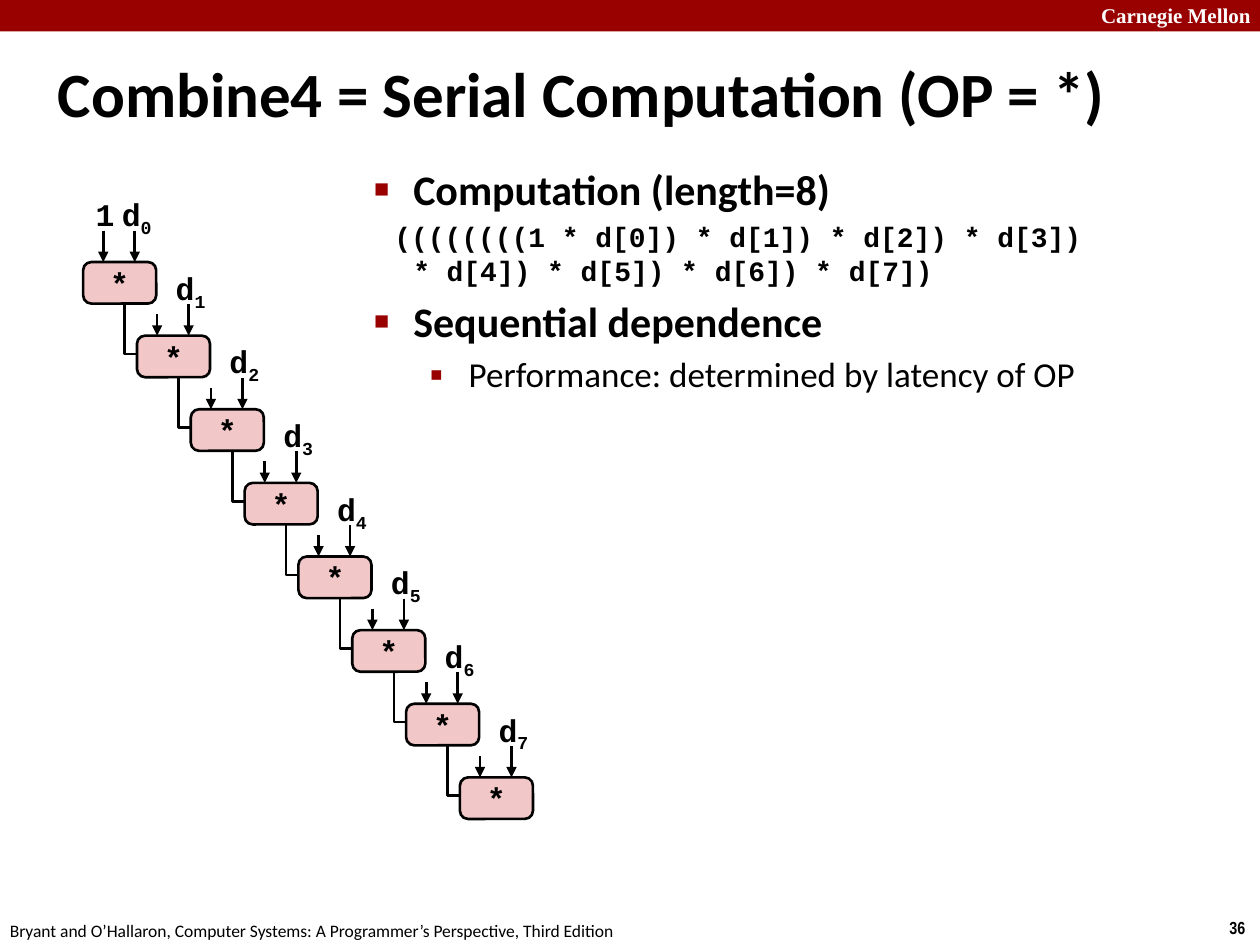
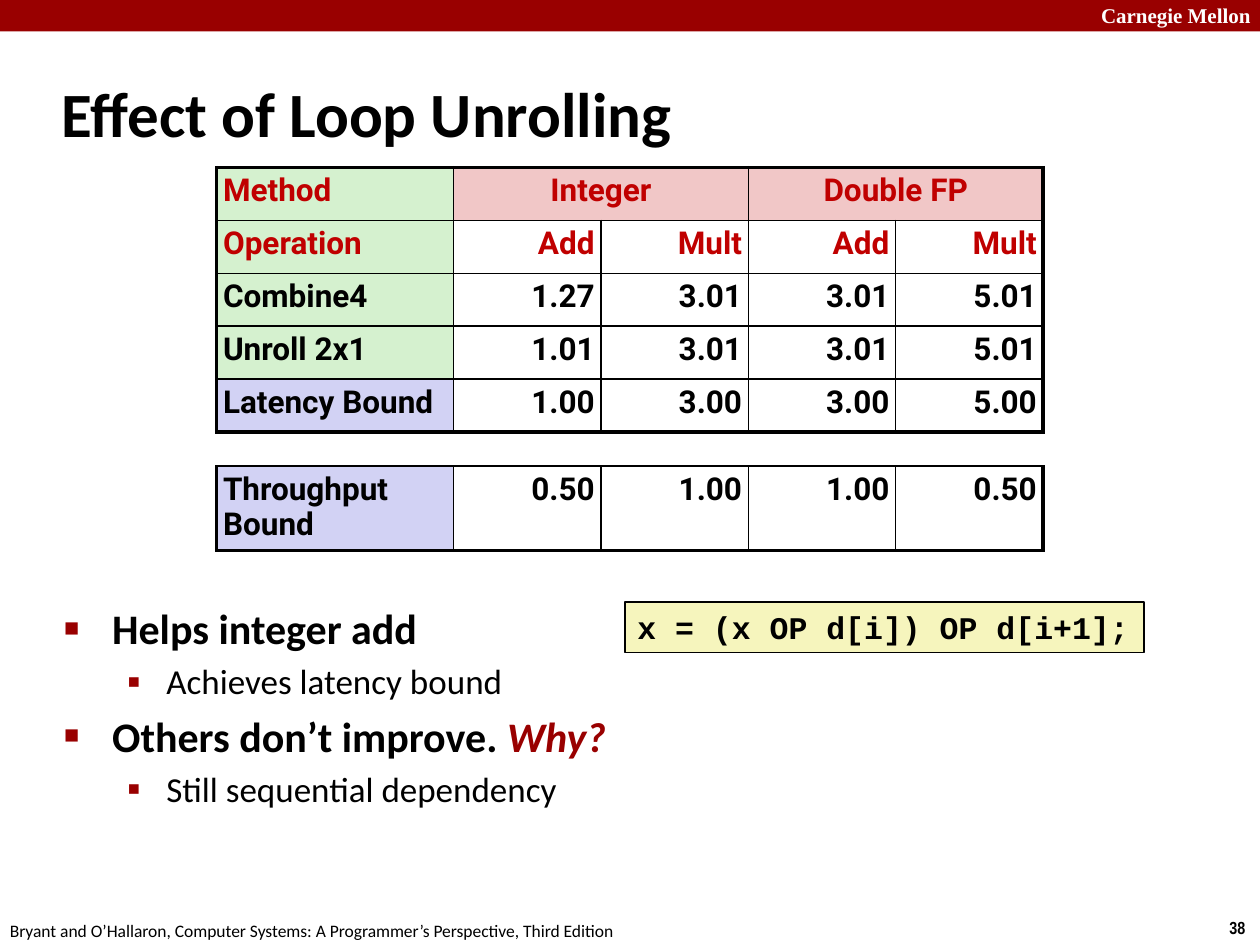
from dataclasses import dataclass

from lxml import etree
from pptx import Presentation
from pptx.dml.color import RGBColor
from pptx.enum.shapes import MSO_CONNECTOR, MSO_SHAPE
from pptx.enum.text import MSO_ANCHOR, MSO_AUTO_SIZE, PP_ALIGN
from pptx.oxml.ns import qn
from pptx.util import Inches, Pt

STRAIGHT = MSO_CONNECTOR.STRAIGHT
RECTANGLE, ROUNDED = MSO_SHAPE.RECTANGLE, MSO_SHAPE.ROUNDED_RECTANGLE
TOP, MIDDLE = MSO_ANCHOR.TOP, MSO_ANCHOR.MIDDLE
NO_AUTOFIT = MSO_AUTO_SIZE.NONE
LEFT, CENTER, RIGHT = PP_ALIGN.LEFT, PP_ALIGN.CENTER, PP_ALIGN.RIGHT


@dataclass(frozen=True)
class Theme:
    black: str = "000000"
    white: str = "FFFFFF"
    crimson: str = "990000"
    heading_red: str = "C00000"
    pink: str = "F1C7C7"
    green: str = "D5F1CF"
    lavender: str = "D2D2F4"
    yellow: str = "F6F5BD"
    text_face: str = "Calibri"
    code_face: str = "Courier New"
    table_face: str = "Roboto"
    brand_face: str = "Times New Roman"
    number_face: str = "Arial Narrow"
    title_size: int = 36
    topic_size: int = 24
    detail_size: int = 20
    label_size: int = 18
    code_size: int = 16
    brand_size: int = 12
    footer_size: int = 10
    thick: float = 2.25
    medium: float = 1.5
    thin: float = 1


THEME = Theme()


# Formatting helpers
def rgb(value):
    return RGBColor.from_string(value)


def set_font(para, face, size, color=THEME.black, bold=True):
    font = para.font
    font.name, font.size, font.bold = face, Pt(size), bold
    font.color.rgb = rgb(color)


def set_margins(frame, side, vertical=0.05):
    frame.margin_left = frame.margin_right = Inches(side)
    frame.margin_top = frame.margin_bottom = Inches(vertical)


def set_line(line, width):
    line.color.rgb = rgb(THEME.black)
    line.width = Pt(width)


def set_indent(para, margin, first):
    properties = para._p.get_or_add_pPr()
    properties.set("marL", str(Inches(margin)))
    properties.set("indent", str(Inches(first)))
    return properties


def set_bullet(para, character, percent):
    properties = para._p.get_or_add_pPr()
    color = etree.SubElement(properties, qn("a:buClr"))
    etree.SubElement(color, qn("a:srgbClr"), val=THEME.crimson)
    etree.SubElement(properties, qn("a:buSzPct"), val=str(percent * 1000))
    etree.SubElement(properties, qn("a:buChar"), char=character)


# Basic elements
def place(shape, *bounds):
    shape.left, shape.top, shape.width, shape.height = map(Inches, bounds)


def add_text(page, bounds, text, face, size, color=THEME.black, bold=True,
             align=LEFT, side=0.1, wrap=True):
    box = page.shapes.add_textbox(*map(Inches, bounds))
    frame = box.text_frame
    frame.word_wrap = wrap
    set_margins(frame, side)
    para = frame.paragraphs[0]
    para.text, para.alignment = text, align
    set_font(para, face, size, color, bold)
    return para


def add_block(page, kind, bounds, fill, line_width=None):
    block = page.shapes.add_shape(kind, *map(Inches, bounds))
    block.shadow.inherit = False
    block.fill.solid()
    block.fill.fore_color.rgb = rgb(fill)
    if line_width is None:
        block.line.fill.background()
    else:
        set_line(block.line, line_width)
    return block


def add_code_block(page, kind, bounds, fill, line_width, text, align, anchor):
    block = add_block(page, kind, bounds, fill, line_width)
    frame = block.text_frame
    frame.word_wrap, frame.vertical_anchor = False, anchor
    para = frame.paragraphs[0]
    para.text, para.alignment = text, align
    set_font(para, THEME.code_face, THEME.label_size)
    return block


def add_down_arrow(page, x, start, end):
    arrow = page.shapes.add_connector(
        STRAIGHT, Inches(x), Inches(start), Inches(x), Inches(end))
    set_line(arrow.line, THEME.medium)
    etree.SubElement(arrow.line._get_or_add_ln(), qn("a:tailEnd"), type="triangle")
    etree.SubElement(arrow._element.spPr, qn("a:effectLst"))


def add_elbow(page, x, start, end, right):
    builder = page.shapes.build_freeform(Inches(x), Inches(start))
    builder.add_line_segments(
        [(Inches(x), Inches(end)), (Inches(right), Inches(end))], close=False)
    elbow = builder.convert_to_shape()
    elbow.fill.background()
    elbow.shadow.inherit = False
    set_line(elbow.line, THEME.medium)


# Page frame, title and list
def add_page(deck, title, title_bounds, number):
    page = deck.slides.add_slide(deck.slide_layouts[1])
    add_block(page, RECTANGLE, (0, 0, 10, 0.25), THEME.crimson)
    add_text(page, (8.64, -0.03, 1.43, 0.3), "Carnegie Mellon",
             THEME.brand_face, THEME.brand_size, THEME.white)
    add_text(page, (9.66, 7.23, 0.34, 0.27), number,
             THEME.number_face, THEME.footer_size, wrap=False)
    add_text(page, (-0.02, 7.25, 5.08, 0.27),
             "Bryant and O’Hallaron, Computer Systems: "
             "A Programmer’s Perspective, Third Edition",
             THEME.text_face, THEME.footer_size, bold=False, wrap=False)

    heading = page.shapes.title
    place(heading, *title_bounds)
    frame = heading.text_frame
    frame.auto_size, frame.vertical_anchor = NO_AUTOFIT, MIDDLE
    para = frame.paragraphs[0]
    para.text, para.alignment = title, LEFT
    set_indent(para, 0.13, -0.13)
    set_font(para, THEME.text_face, THEME.title_size)
    return page


def start_list(page, *bounds):
    body = page.placeholders[1]
    place(body, *bounds)
    body.text_frame.auto_size = NO_AUTOFIT
    return body.text_frame


def next_para(frame, text, size):
    para = frame.paragraphs[0]
    if para.runs:
        para = frame.add_paragraph()
        para.space_before = Pt(size * 0.2)
    else:
        para.space_before = Pt(0)
    para.text = text
    return para


def add_topic(frame, text, indent):
    para = next_para(frame, text, THEME.topic_size)
    set_indent(para, indent, -indent)
    set_bullet(para, "■", 60)
    set_font(para, THEME.text_face, THEME.topic_size)
    return para


def add_detail(frame, text, margin):
    para = next_para(frame, text, THEME.detail_size)
    para.level = 1
    set_indent(para, margin, -0.31)
    set_bullet(para, "▪", 110)
    set_font(para, THEME.text_face, THEME.detail_size, bold=False)


def add_code_lines(frame, text):
    para = next_para(frame, text, THEME.code_size)
    para.level = 1
    properties = set_indent(para, 0.31, -0.15)
    etree.SubElement(properties, qn("a:buNone"))
    set_font(para, THEME.code_face, THEME.code_size)


# Chain of operations
def add_operation_chain(page, count=8):
    first_left, first_top = 0.66, 2.08
    step_x = (3.65 - first_left) / (count - 1)
    step_y = (6.17 - first_top) / (count - 1)
    width, height = 0.58, 0.33
    add_text(page, (first_left + 0.05, first_top - 0.58, 0.25, 0.4), "1",
             THEME.code_face, THEME.label_size, align=CENTER, side=0.05)
    for index in range(count):
        left, top = first_left + index * step_x, first_top + index * step_y
        gate = add_code_block(page, ROUNDED, (left, top, width, height), THEME.pink,
                              THEME.medium, "*", CENTER, MIDDLE)
        gate.adjustments[0] = 0.196
        add_down_arrow(page, left + 0.16, top - (0.17 if index else 0.25), top)
        add_down_arrow(page, left + 0.41, top - 0.25, top)
        label = add_text(page, (left + 0.25, top - 0.58, 0.35, 0.4), "d",
                         THEME.code_face, THEME.label_size, align=CENTER, side=0.05)
        subscript = label.add_run()
        subscript.text = str(index)
        subscript.font._element.set("baseline", "-25000")
        if index < count - 1:
            bottom = top + height
            add_elbow(page, left + 0.33, bottom, bottom + 0.4, left + step_x)


# Tables
def set_borders(cell, widths):
    properties = cell._tc.get_or_add_tcPr()
    for position, (side, width) in enumerate(zip("LRTB", widths)):
        line = etree.Element(qn(f"a:ln{side}"), w=str(Pt(width)))
        fill = etree.SubElement(line, qn("a:solidFill"))
        etree.SubElement(fill, qn("a:srgbClr"), val=THEME.black)
        properties.insert(position, line)


def add_timing_table(page, top, row_height, rows, fills, header_rows=0):
    height = row_height * len(rows)
    table = page.shapes.add_table(
        len(rows), 5, *map(Inches, (1.72, top, 6.56, height))).table
    table.first_row = table.horz_banding = False
    for index, column in enumerate(table.columns):
        column.width = Inches(1.17 if index else 1.88)
    if header_rows:
        for start in (1, 3):
            table.cell(0, start).merge(table.cell(0, start + 1))
    for row, values in enumerate(rows):
        table.rows[row].height = Inches(row_height)
        is_header = row < header_rows
        for col, value in enumerate(values):
            cell = table.cell(row, col)
            is_group = is_header and row == 0 and col > 0
            set_margins(cell, 0.05)
            cell.fill.solid()
            cell.fill.fore_color.rgb = rgb(
                THEME.pink if is_group else THEME.white if col else fills[row])
            edges = (col == 0, col + cell.span_width == 5,
                     is_header and row == 0, row == len(rows) - 1)
            set_borders(cell, [THEME.thick if edge else THEME.thin for edge in edges])
            if cell.is_spanned:
                continue
            para = cell.text_frame.paragraphs[0]
            para.text, para.line_spacing = value, 0.95
            para.alignment = CENTER if is_group else RIGHT if col else LEFT
            set_font(para, THEME.table_face, THEME.label_size,
                     THEME.heading_red if is_header else THEME.black)


# Slides
def build_serial_slide(deck):
    page = add_page(deck, "Combine4 = Serial Computation (OP = *)",
                    (0.36, 0.31, 9.48, 0.85), "36")
    frame = start_list(page, 2.87, 1.25, 6.96, 1.83)
    add_topic(frame, "Computation (length=8)", 0.31)
    add_code_lines(frame, "((((((((1 * d[0]) * d[1]) * d[2]) * d[3])\v"
                          "* d[4]) * d[5]) * d[6]) * d[7])")
    add_topic(frame, "Sequential dependence", 0.31)
    add_detail(frame, "Performance: determined by latency of OP", 0.75)
    add_operation_chain(page)


def build_unrolling_slide(deck):
    page = add_page(deck, "Effect of Loop Unrolling", (0.39, 0.48, 8.3, 0.83), "38")
    frame = start_list(page, 0.41, 4.73, 9.09, 2.44)
    add_topic(frame, "Helps integer add", 0.38)
    add_detail(frame, "Achieves latency bound", 0.81)
    question = add_topic(frame, "Others don’t improve. ", 0.38).add_run()
    question.text = "Why?"
    question.font.italic = True
    question.font.color.rgb = rgb(THEME.crimson)
    add_detail(frame, "Still sequential dependency", 0.81)

    add_code_block(page, RECTANGLE, (4.96, 4.78, 4.12, 0.4), THEME.yellow, THEME.thin,
                   "x = (x OP d[i]) OP d[i+1];", LEFT, TOP)

    rows = [
        ("Method", "Integer", "", "Double FP", ""),
        ("Operation", "Add", "Mult", "Add", "Mult"),
        ("Combine4", "1.27", "3.01", "3.01", "5.01"),
        ("Unroll 2x1", "1.01", "3.01", "3.01", "5.01"),
        ("Latency Bound", "1.00", "3.00", "3.00", "5.00"),
    ]
    add_timing_table(page, 1.33, 0.42, rows, [THEME.green] * 4 + [THEME.lavender], 2)
    add_timing_table(page, 3.7, 0.67,
                     [("Throughput Bound", "0.50", "1.00", "1.00", "0.50")],
                     [THEME.lavender])


def main():
    deck = Presentation()
    deck.slide_width, deck.slide_height = Inches(10), Inches(7.5)
    build_serial_slide(deck)
    build_unrolling_slide(deck)
    deck.save("out.pptx")


if __name__ == "__main__":
    main()
